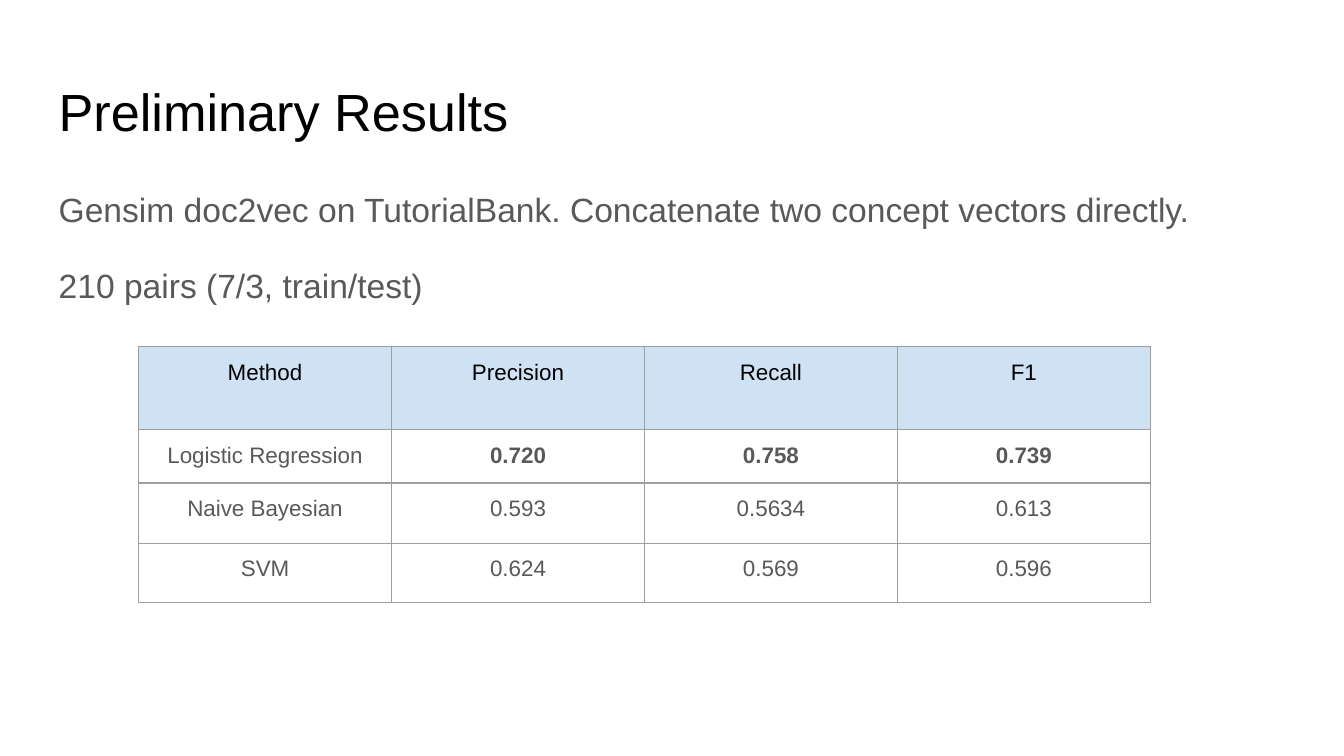
from dataclasses import dataclass

from lxml.etree import SubElement
from pptx import Presentation
from pptx.dml.color import RGBColor
from pptx.enum.text import MSO_ANCHOR as Anchor, PP_ALIGN as Align
from pptx.oxml.ns import qn
from pptx.util import Cm, Pt


@dataclass(frozen=True)
class Theme:
    font: str = "Arial"
    ink: str = "000000"
    gray: str = "595959"
    header: str = "CFE2F3"
    border: str = "9E9E9E"
    border_width: int = Pt(0.75)
    title: int = Pt(28)
    body: int = Pt(18)
    table: int = Pt(12)
    inset: int = Cm(0.25)


theme = Theme()
margins = {f"margin_{side}": theme.inset for side in ("left", "top", "right", "bottom")}


def write(para, text, size, color, bold=False, **layout):
    """Add text to a paragraph; layout holds paragraph format values."""
    for name, value in layout.items():
        setattr(para, name, value)
    span = para.add_run()
    span.text = text
    for name, value in {"name": theme.font, "size": size, "bold": bold}.items():
        setattr(span.font, name, value)
    span.font.color.rgb = RGBColor.from_string(color)


def draw_borders(cell):
    properties = cell._tc.get_or_add_tcPr()
    for edge in ("a:lnL", "a:lnR", "a:lnT", "a:lnB"):
        line = SubElement(properties, qn(edge), w=str(theme.border_width))
        SubElement(SubElement(line, qn("a:solidFill")), qn("a:srgbClr"), val=theme.border)


deck = Presentation()
deck.slide_width, deck.slide_height = Cm(25.4), Cm(14.29)
page = deck.slides.add_slide(deck.slide_layouts[6])

# Title and introduction
text_blocks = [
    (1.24, 1.6, theme.title, theme.ink, 1.0, ["Preliminary Results"]),
    (3.2, 2.97, theme.body, theme.gray, 1.15, [
        "Gensim doc2vec on TutorialBank. Concatenate two concept vectors directly.",
        "210 pairs (7/3, train/test)",
    ]),
]
for top, height, size, color, spacing, lines in text_blocks:
    box = page.shapes.add_textbox(Cm(0.86), Cm(top), Cm(23.67), Cm(height))
    frame = box.text_frame
    for name, value in {"word_wrap": True, "vertical_anchor": Anchor.TOP, **margins}.items():
        setattr(frame, name, value)
    for index, line in enumerate(lines):
        para = frame.add_paragraph() if index else frame.paragraphs[0]
        write(para, line, size, color, line_spacing=spacing,
              space_before=Pt(16 if index else 0))

# Results table
results = [
    ("Method", "Precision", "Recall", "F1"),
    ("Logistic Regression", "0.720", "0.758", "0.739"),
    ("Naive Bayesian", "0.593", "0.5634", "0.613"),
    ("SVM", "0.624", "0.569", "0.596"),
]
row_heights = [1.57, 0.98, 1.14, 1.12]
column_width = 4.78
best_row = 1

table = page.shapes.add_table(
    len(results), len(results[0]), Cm(2.62), Cm(6.55),
    Cm(column_width * len(results[0])), Cm(sum(row_heights)),
).table
for column in table.columns:
    column.width = Cm(column_width)

for r, (height, values) in enumerate(zip(row_heights, results)):
    table.rows[r].height = Cm(height)
    for c, value in enumerate(values):
        cell = table.cell(r, c)
        for name, margin in margins.items():
            setattr(cell, name, margin)
        draw_borders(cell)
        if r == 0:
            cell.fill.solid()
            cell.fill.fore_color.rgb = RGBColor.from_string(theme.header)
        else:
            cell.fill.background()
        write(cell.text_frame.paragraphs[0], value, theme.table,
              theme.gray if r else theme.ink, bold=r == best_row and c > 0,
              alignment=Align.CENTER, space_after=Pt(16 if r else 0))

deck.save("out.pptx")
